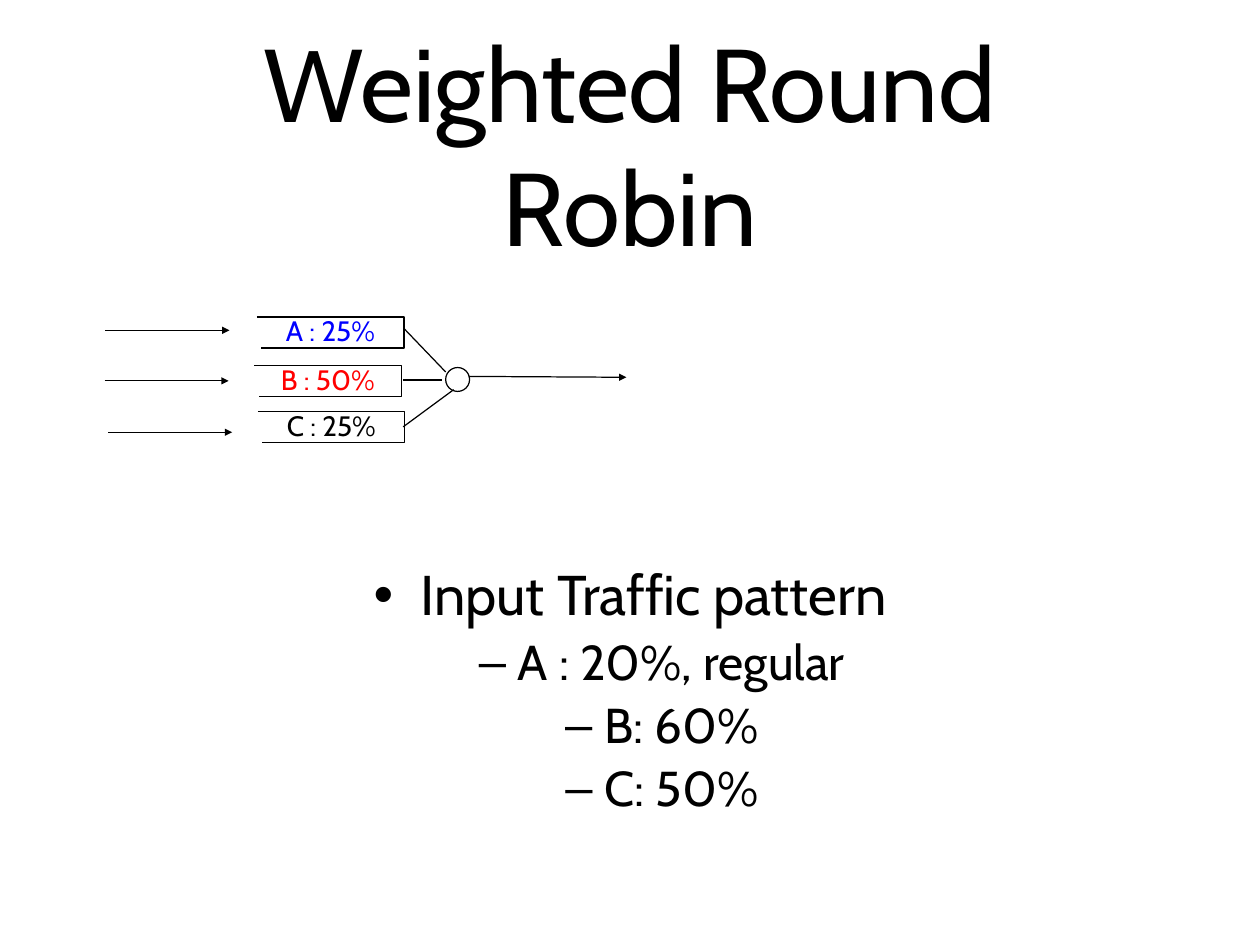
from dataclasses import dataclass
from lxml import etree
from pptx import Presentation
from pptx.dml.color import RGBColor as RGB
from pptx.enum.shapes import MSO_CONNECTOR as Link, MSO_SHAPE as Shape
from pptx.enum.text import MSO_ANCHOR as Anchor, MSO_AUTO_SIZE as Fit, PP_ALIGN as Align
from pptx.oxml.ns import qn
from pptx.util import Inches, Pt

# Content
TITLE = "Weighted Round Robin"
# label, colour, queue left and top, input arrow left and height
QUEUES = [
    ("A : 25%", "blue", (2.9, 3.58), (1.19, 3.73)),
    ("B : 50%", "red", (2.87, 4.13), (1.18, 4.3)),
    ("C : 25%", "black", (2.91, 4.65), (1.22, 4.88)),
]
# from, to
LINKS = [
    ((4.56, 3.71), (5.03, 4.2)),
    ((4.55, 4.29), (4.99, 4.29)),
    ((4.55, 4.82), (5.12, 4.4)),
]
TRAFFIC = [
    (0, "Input Traffic pattern"),
    (1, "A : 20%, regular"),
    (1, "B: 60%"),
    (1, "C: 50%"),
]
# bullet, left margin, indent, space before
LEVELS = [("•", 0.53, -0.53, 10), ("–", 1.16, -0.44, 8.5)]


@dataclass
class Theme:
    font = "Cabin"
    black = RGB(0, 0, 0)
    blue = RGB(0, 0, 255)
    red = RGB(255, 0, 0)
    title = 84
    label = 22.8
    body = (45.5, 39.8)
    line = 1


theme = Theme()
WIDE, HIGH, NOTCH = 1.66, 0.35, 0.05  # queue size and inset of its lower edge
REACH = 1.4  # input arrow length


def place(box, left, top, width, height):
    box.left, box.top = Inches(left), Inches(top)
    box.width, box.height = Inches(width), Inches(height)


def frame(box, pad_x, pad_y, anchor):
    text = box.text_frame
    text.word_wrap = True
    text.auto_size = Fit.NONE
    text.vertical_anchor = anchor
    text.margin_left = text.margin_right = Inches(pad_x)
    text.margin_top = text.margin_bottom = Inches(pad_y)
    return text


def style(para, size, color=theme.black):
    para.alignment = Align.CENTER
    para.font.name = theme.font
    para.font.size = Pt(size)
    para.font.color.rgb = color


def ink(item):
    item.line.color.rgb = theme.black
    item.line.width = Pt(theme.line)


def join(start, end, arrow=False):
    line = slide.shapes.add_connector(Link.STRAIGHT, *map(Inches, start + end))
    ink(line)
    props = line._element.spPr
    if arrow:
        etree.SubElement(line.line._get_or_add_ln(), qn("a:tailEnd"), type="triangle")
    etree.SubElement(props, qn("a:effectLst"))


def queue(label, color, left, top):
    group = slide.shapes.add_group_shape()
    right, base = left + WIDE, top + HIGH
    pen = group.shapes.build_freeform(Inches(left), Inches(top))
    points = [(right, top), (right, base), (left + NOTCH, base)]
    pen.add_line_segments([(Inches(x), Inches(y)) for x, y in points], close=False)
    edge = pen.convert_to_shape()
    edge.shadow.inherit = False
    edge.fill.background()
    ink(edge)
    box = group.shapes.add_textbox(0, 0, 0, 0)
    place(box, left, top + 0.02, WIDE, 0.32)
    para = frame(box, 0, 0, Anchor.MIDDLE).paragraphs[0]
    para.text = label
    para.line_spacing = 0.84
    style(para, theme.label, color)


deck = Presentation()
deck.slide_width, deck.slide_height = Inches(14.22), Inches(10.67)
slide = deck.slides.add_slide(deck.slide_layouts[1])

# Title
title = slide.shapes.title
place(title, 1.39, 0.28, 11.44, 2.67)
para = frame(title, 0.06, 0.06, Anchor.MIDDLE).paragraphs[0]
para.text = TITLE
style(para, theme.title)

# Queues and their input arrows
for label, color, spot, (left, y) in QUEUES:
    queue(label, getattr(theme, color), *spot)
    join((left, y), (left + REACH, y), arrow=True)

# Scheduler with its links and output
ring = slide.shapes.add_shape(Shape.OVAL, 0, 0, 0, 0)
place(ring, 5.03, 4.15, 0.27, 0.27)
ring.shadow.inherit = False
ring.fill.background()
ink(ring)
for start, end in LINKS:
    join(start, end)
join((5.29, 4.25), (7.07, 4.26), arrow=True)

# Traffic list
body = slide.placeholders[1]
place(body, 0.71, 6.35, 12.8, 3.18)
text = frame(body, 0.07, 0.05, Anchor.TOP)
for i, (level, words) in enumerate(TRAFFIC):
    para = text.add_paragraph() if i else text.paragraphs[0]
    para.text = words
    para.level = level
    mark, margin, indent, gap = LEVELS[level]
    props = para._p.get_or_add_pPr()
    props.set("marL", str(Inches(margin)))
    props.set("indent", str(Inches(indent)))
    etree.SubElement(props, qn("a:buChar"), char=mark)
    para.line_spacing = 0.9
    para.space_before = Pt(gap if i else 0)
    style(para, theme.body[level])

deck.save("out.pptx")
